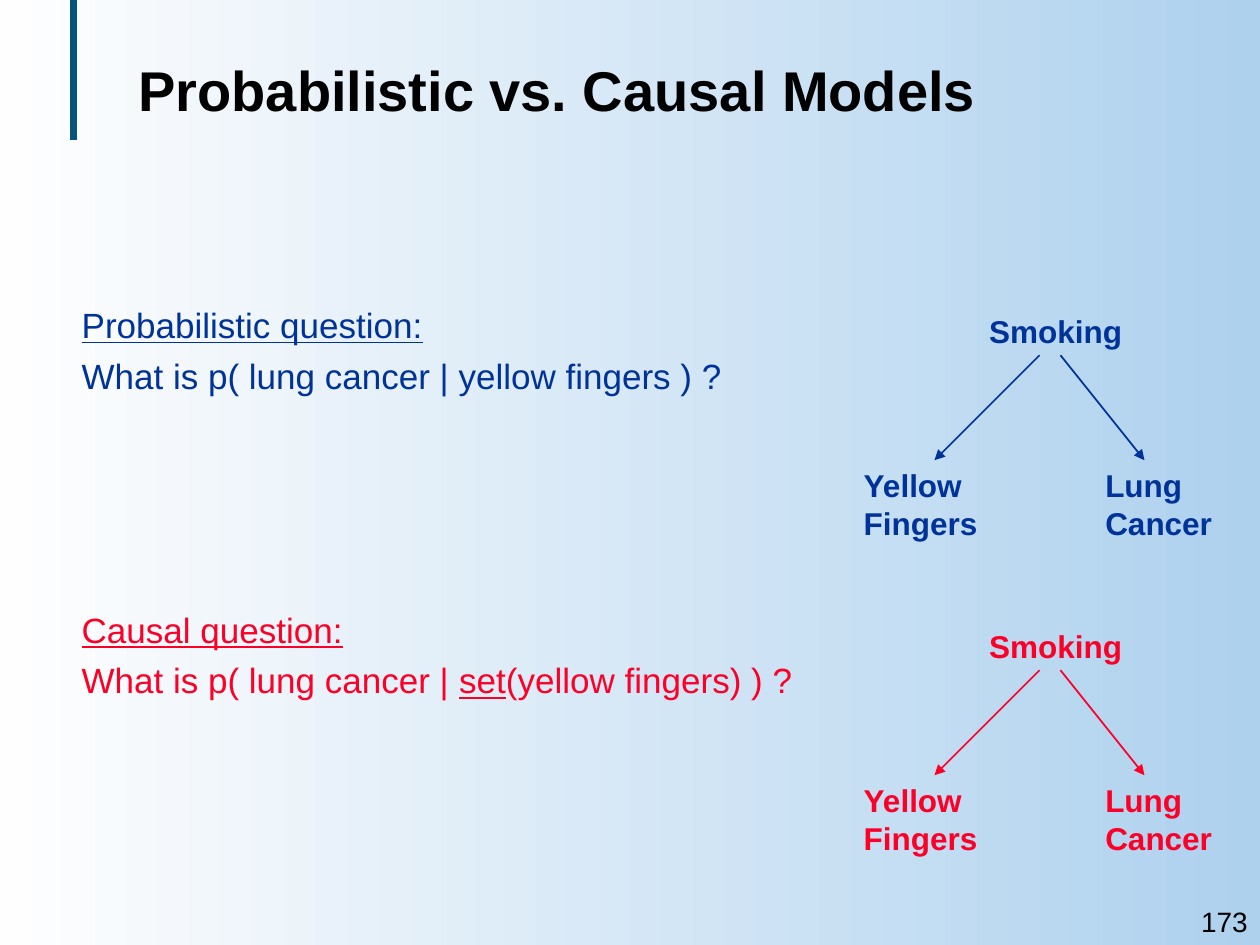
from dataclasses import dataclass

from lxml import etree
from pptx import Presentation
from pptx.dml.color import RGBColor
from pptx.enum.shapes import MSO_CONNECTOR
from pptx.enum.text import MSO_ANCHOR, MSO_AUTO_SIZE, PP_ALIGN
from pptx.oxml.ns import qn
from pptx.util import Pt

STRAIGHT = MSO_CONNECTOR.STRAIGHT
TOP, MIDDLE = MSO_ANCHOR.TOP, MSO_ANCHOR.MIDDLE
LEFT, RIGHT = PP_ALIGN.LEFT, PP_ALIGN.RIGHT
GROW = MSO_AUTO_SIZE.SHAPE_TO_FIT_TEXT


@dataclass(frozen=True)
class Theme:
    font: str = "Arial"
    black: str = "000000"
    blue: str = "003399"
    red: str = "FC0128"
    accent: str = "07547A"
    bg_right: str = "AED1EE"
    bg_left: str = "FEFEFE"
    title: int = 32
    body: int = 20
    node: int = 18
    number: int = 16


theme = Theme()


def add_text(shapes, box, paragraphs, size, bold=False, anchor=TOP,
             align=LEFT, wrap=True):
    """Each paragraph is (space before, colour, [(text, underlined), ...])."""
    sp = shapes.add_textbox(*map(Pt, box))
    tf = sp.text_frame
    tf.word_wrap = wrap
    if not wrap:
        tf.auto_size = GROW
    tf.vertical_anchor = anchor
    for i, (space, color, runs) in enumerate(paragraphs):
        p = tf.paragraphs[0] if i == 0 else tf.add_paragraph()
        p.alignment = align
        p.space_before = Pt(space)
        for text, underlined in runs:
            r = p.add_run()
            r.text = text
            r.font.name = theme.font
            r.font.size = Pt(size)
            r.font.bold = bold
            r.font.underline = underlined
            r.font.color.rgb = RGBColor.from_string(color)


def add_line(shapes, ends, color, width, arrow=False):
    line = shapes.add_connector(STRAIGHT, *map(Pt, ends))
    line.line.color.rgb = RGBColor.from_string(color)
    line.line.width = Pt(width)
    if arrow:
        etree.SubElement(line.line._get_or_add_ln(), qn("a:tailEnd"),
                         type="triangle")
    etree.SubElement(line._element.spPr, qn("a:effectLst"))


prs = Presentation()
prs.slide_width, prs.slide_height = Pt(720), Pt(540)
s = prs.slides.add_slide(prs.slide_layouts[6])

# Background, fading from right to left
fill = s.background.fill
fill.gradient()
fill.gradient_angle = 180
for stop, color in zip(fill.gradient_stops, (theme.bg_right, theme.bg_left)):
    stop.color.rgb = RGBColor.from_string(color)

# Accent bar and title
add_line(s.shapes, (42, 0, 42, 80), theme.accent, 4)
add_text(s.shapes, (72, 18, 543.6, 66.2),
         [(0, theme.black, [("Probabilistic vs. Causal Models", False)])],
         theme.title, bold=True, anchor=MIDDLE)

# Questions
add_text(s.shapes, (39.6, 170, 563.8, 324), [
    (0, theme.blue, [("Probabilistic question:", True)]),
    (5, theme.blue, [("What is p( lung cancer | yellow fingers ) ?", False)]),
    (121, theme.red, [("Causal question:", True)]),
    (5, theme.red, [("What is p( lung cancer | ", False), ("set", True),
                    ("(yellow fingers) ) ?", False)]),
], theme.body)

# Causal graphs: the same three nodes and two arrows in each colour
nodes = [
    ((558.2, 0, 91, 28.8), ["Smoking"]),
    ((486.5, 88, 79.2, 50.4), ["Yellow", "Fingers"]),
    ((624.5, 88, 75.6, 50.4), ["Lung", "Cancer"]),
]
arrows = [(606, 654), (594, 534)]
for top, color in ((175, theme.blue), (355, theme.red)):
    group = s.shapes.add_group_shape()
    for x1, x2 in arrows:
        add_line(group.shapes, (x1, top + 28, x2, top + 88), color, 1,
                 arrow=True)
    for (x, y, w, h), words in nodes:
        add_text(group.shapes, (x, top + y, w, h),
                 [(0, color, [(word, False)]) for word in words],
                 theme.node, bold=True, wrap=False)

# Slide number
add_text(s.shapes, (647.3, 513.4, 72.7, 26.6),
         [(0, theme.black, [("173", False)])],
         theme.number, anchor=MIDDLE, align=RIGHT)

prs.save("out.pptx")
